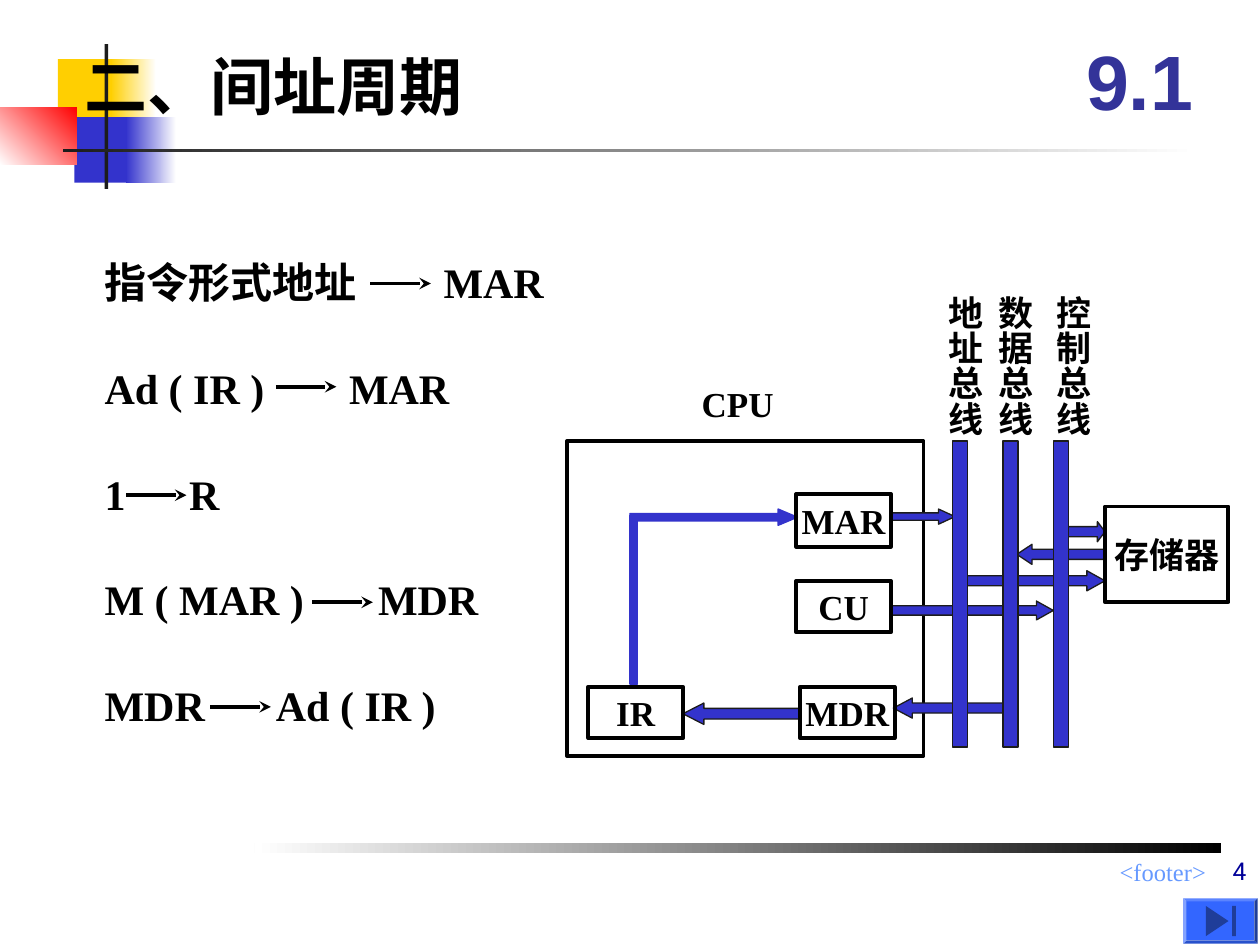
import pptx
import pptx.dml.color
import pptx.enum.shapes
import pptx.enum.text
import pptx.oxml.ns
import pptx.util
from lxml import etree

Inches = pptx.util.Inches
SHAPE = pptx.enum.shapes.MSO_SHAPE
ALIGN = pptx.enum.text.PP_ALIGN
ANCHOR = pptx.enum.text.MSO_ANCHOR

SERIF = "Times New Roman"
BLACK, INK, BLUE = "000000", "1C1C1C", "3333CC"
INSET = (0.1, 0.05, 0.1, 0.05)
BUS_TOP, BUS_HEIGHT, BUS_WIDTH = 3.5, 2.43, 0.12
STEP_LEFT, STEP_TOP, STEP_PITCH, STEP_ARROW = 0.83, 2, 0.84, 0.48

# left, top, width, height, first colour, last colour, gradient angle
DECORATION = [
    (0.46, 0.47, 0.48, 0.52, "FFCF01", None, 0),
    (0.88, 0.47, 0.36, 0.52, "FFFFFF", "FFCF01", 180),
    (0.59, 0.93, 0.46, 0.52, BLUE, None, 0),
    (1, 0.93, 0.4, 0.52, "FFFFFF", BLUE, 180),
    (0, 0.85, 0.61, 0.46, "FF0000", "FFFFFF", 225),
    (0.83, 0.35, 0.03, 1.15, INK, None, 0),
    (0.5, 1.18, 9, 0.03, "FFFFFF", INK, 180),
    (2.02, 6.69, 7.67, 0.08, BLACK, "FFFFFF", 180),
]
STEPS = [
    ("指令形式地址", "MAR", 2.94, 2.25, 3.52),
    ("Ad ( IR )", "MAR", 2.19, 3.07, 2.77),
    ("1", "R", 1, 3.93, 1.5),
    ("M ( MAR )", "MDR", 2.48, 4.78, 3),
    ("MDR", "Ad ( IR )", 1.67, 5.61, 2.19),
]
ARROWS = [
    (SHAPE.LEFT_ARROW, (7.09, 5.54, 0.87, 0.16), (0.5, 0.945), INK),
    (SHAPE.LEFT_ARROW, (5.42, 5.58, 0.92, 0.17), (0.5, 0.979), INK),
    (SHAPE.RIGHT_ARROW, (7.08, 4.77, 1.28, 0.15), (0.492, 0.893), INK),
    (SHAPE.RIGHT_ARROW, (7.08, 4.04, 0.5, 0.12), (0.494, 1.085), INK),
    (SHAPE.LEFT_ARROW, (8.07, 4.32, 0.69, 0.16), (0.5, 0.755), INK),
    (SHAPE.RIGHT_ARROW, (7.67, 4.53, 1.1, 0.16), (0.5, 0.899), INK),
    (SHAPE.RIGHT_ARROW, (8.42, 4.14, 0.35, 0.16), (0.5, 0.379), INK),
    (SHAPE.RIGHT_ARROW, (5, 4.04, 1.33, 0.13), (0.458, 1.182), BLUE),
]
UNITS = [
    ("MDR", (6.35, 5.45, 0.75, 0.41)),
    ("CU", (6.32, 4.61, 0.75, 0.41)),
    ("MAR", (6.32, 3.92, 0.75, 0.42)),
    ("IR", (4.67, 5.45, 0.75, 0.41)),
    ("存储器", (8.77, 4.02, 0.98, 0.76)),
]
BUSES = [("地址总线", 7.56, 7.34), ("数据总线", 7.96, 7.74), ("控制总线", 8.36, 8.2)]


def rgb(colour):
    return pptx.dml.color.RGBColor.from_string(colour)


def place(box):
    return [Inches(value) for value in box]


def add_xml(parent, tag, **attributes):
    return etree.SubElement(parent, pptx.oxml.ns.qn(tag), attributes)


def paint(shape, fill=None, line=None, width=0.75):
    shape.shadow.inherit = False
    if fill:
        shape.fill.solid()
        shape.fill.fore_color.rgb = rgb(fill)
    else:
        shape.fill.background()
    if line:
        shape.line.color.rgb = rgb(line)
        shape.line.width = pptx.util.Pt(width)
    else:
        shape.line.fill.background()


def add_block(slide, kind, box, fill=None, line=None, width=0.75):
    shape = slide.shapes.add_shape(kind, *place(box))
    paint(shape, fill, line, width)
    return shape


def write(shape, text, size, colour=BLACK, font=SERIF, bold=True, align=ALIGN.LEFT,
          anchor=ANCHOR.MIDDLE, inset=INSET, wrap=True, tab=None):
    frame = shape.text_frame
    frame.auto_size = pptx.enum.text.MSO_AUTO_SIZE.NONE
    frame.word_wrap = wrap
    frame.vertical_anchor = anchor
    frame.margin_left, frame.margin_top, frame.margin_right, frame.margin_bottom = place(inset)
    paragraph = frame.paragraphs[0]
    paragraph.alignment = align
    if tab:
        tabs = add_xml(paragraph._p.get_or_add_pPr(), "a:tabLst")
        add_xml(tabs, "a:tab", pos=str(Inches(tab)), algn="l")
    run = paragraph.add_run()
    run.text = text
    run.font.name, run.font.size, run.font.bold = font, pptx.util.Pt(size), bold
    run.font.color.rgb = rgb(colour)


def add_label(slide, box, text, size, **options):
    label = slide.shapes.add_textbox(*place(box))
    write(label, text, size, **options)
    return label


def add_decoration(slide):
    for *box, first, last, angle in DECORATION:
        shape = add_block(slide, SHAPE.RECTANGLE, box, first)
        if last:
            shape.fill.gradient()
            shape.fill.gradient_angle = angle
            for stop, colour in zip(shape.fill.gradient_stops, (first, last)):
                stop.color.rgb = rgb(colour)


def add_title(slide):
    title = slide.shapes.title
    title.left, title.top, title.width, title.height = place((0.67, 0.44, 3.54, 0.47))
    write(title, "二、间址周期", 36, inset=(0, 0, 0, 0), wrap=False)
    title.element.getparent().append(title.element)
    add_label(slide, (8.42, 0.17, 1.25, 0.92), "9.1", 44, colour="333399", font="Arial",
              align=ALIGN.CENTER)


def add_steps(slide):
    for row, (source, target, start, middle, target_left) in enumerate(STEPS):
        box = (STEP_LEFT, STEP_TOP + row * STEP_PITCH, 4.72 if row == 0 else 3.15, 0.47)
        add_label(slide, box, f"{source}\t{target}", 24, inset=(0, 0, 0, 0),
                  tab=target_left - STEP_LEFT)
        arrow = slide.shapes.add_connector(
            pptx.enum.shapes.MSO_CONNECTOR.STRAIGHT,
            *place((start, middle, start + STEP_ARROW, middle)))
        arrow.line.color.rgb = rgb(BLACK)
        arrow.line.width = pptx.util.Pt(2.25)
        add_xml(arrow.line._get_or_add_ln(), "a:tailEnd", type="stealth")
        add_xml(arrow._element.spPr, "a:effectLst")


def add_diagram(slide):
    add_block(slide, SHAPE.RECTANGLE, (4.5, 3.5, 2.83, 2.5), None, BLACK, 2.25)
    add_block(slide, SHAPE.RECTANGLE, (5, 4.09, 0.06, 1.34), BLUE, BLUE)
    for kind, box, adjustments, line in ARROWS:
        arrow = add_block(slide, kind, box, BLUE, line)
        arrow.adjustments[0], arrow.adjustments[1] = adjustments
    for name, box in UNITS:
        unit = add_block(slide, SHAPE.RECTANGLE, box, None, BLACK, 2.25)
        write(unit, name, 20, align=ALIGN.CENTER, wrap=False)
    add_label(slide, (5.47, 2.99, 0.77, 0.44), "CPU", 20, anchor=ANCHOR.TOP, wrap=False)
    for name, left, label_left in BUSES:
        add_block(slide, SHAPE.RECTANGLE, (left, BUS_TOP, BUS_WIDTH, BUS_HEIGHT), BLUE, INK)
        label = add_label(slide, (label_left, 2.25, 0.53, 1.22), name, 20, anchor=ANCHOR.TOP,
                          inset=(0.05, 0.1, 0.05, 0.1), wrap=False)
        label.text_frame._txBody.bodyPr.set("vert", "eaVert")


def add_footer(slide):
    add_label(slide, (3.92, 6.75, 5.75, 0.26), "<footer>", 14, colour="6699FF", bold=False,
              align=ALIGN.RIGHT, anchor=ANCHOR.TOP)
    add_label(slide, (5.21, 6.58, 4.78, 0.5), "4", 14, colour="000099", font="Roboto",
              bold=False, align=ALIGN.RIGHT, anchor=ANCHOR.BOTTOM)
    button = add_block(slide, SHAPE.BEVEL, (9.39, 7.13, 0.59, 0.36), "3366FF")
    button.adjustments[0] = 0.07
    builder = slide.shapes.build_freeform(Inches(9.75), Inches(7.31))
    builder.add_line_segments([place((9.57, 7.43)), place((9.57, 7.19))], close=True)
    paint(builder.convert_to_shape(), "1F3D99")
    add_block(slide, SHAPE.RECTANGLE, (9.78, 7.19, 0.03, 0.24), "1F3D99")


def main():
    """Build the slide on the indirect addressing cycle."""
    presentation = pptx.Presentation()
    presentation.slide_width, presentation.slide_height = place((10, 7.5))
    slide = presentation.slides.add_slide(presentation.slide_layouts[5])
    add_decoration(slide)
    add_title(slide)
    add_steps(slide)
    add_diagram(slide)
    add_footer(slide)
    presentation.save("out.pptx")


if __name__ == "__main__":
    main()
